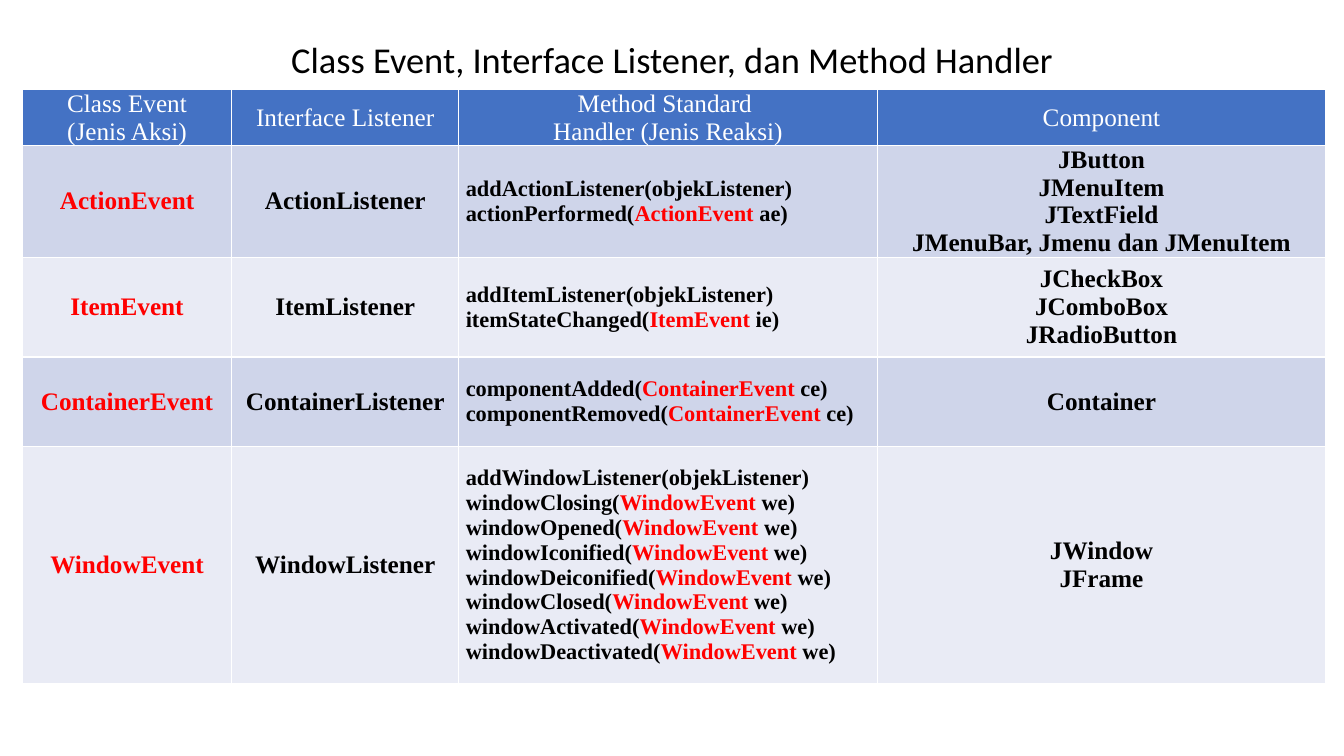
from pptx import Presentation
from pptx import util as u
from pptx.dml import color
from pptx.enum import text

HUES = {"head": "4472C4", "odd": "CFD5EA", "even": "E9EBF5",
        "white": "FFFFFF", "black": "000000", "red": "FF0000"}
HEADS = ["Class Event\n(Jenis Aksi)", "Interface Listener",
         "Method Standard \nHandler (Jenis Reaksi)", "Component"]
ROWS = [
    ("Action", "addActionListener(objekListener)\nactionPerformed(ActionEvent ae)",
     "JButton\nJMenuItem\nJTextField\nJMenuBar, Jmenu dan JMenuItem"),
    ("Item", "addItemListener(objekListener)\nitemStateChanged(ItemEvent ie)",
     "JCheckBox\nJComboBox\nJRadioButton"),
    ("Container", "componentAdded(ContainerEvent ce)\ncomponentRemoved(ContainerEvent ce)",
     "Container"),
    ("Window", "\n".join(["addWindowListener(objekListener)"] + [
        f"window{act}(WindowEvent we)" for act in (
            "Closing", "Opened", "Iconified", "Deiconified",
            "Closed", "Activated", "Deactivated")]),
     "JWindow\nJFrame"),
]
WIDTHS = [2.08, 2.25, 4.15, 4.45]
HEIGHTS = [0.45, 0.89, 0.99, 0.89, 2.35]


def write(frame, words, size=18, font="Times New Roman", hue="black",
          bold=True, align="CENTER", mark=None, space=None):
    for i, line in enumerate(words.split("\n")):
        para = frame.add_paragraph() if i else frame.paragraphs[0]
        para.alignment = text.PP_ALIGN[align]
        para.line_spacing = space
        head, found, tail = line.partition(mark) if mark else (line, "", "")
        for part, tint in ((head, hue), (found, "red"), (tail, hue)):
            if part:
                run = para.add_run()
                run.text = part
                run.font.size = u.Pt(size)
                run.font.name = font
                run.font.bold = bold
                run.font.color.rgb = color.RGBColor.from_string(HUES[tint])


deck = Presentation()
deck.slide_width, deck.slide_height = u.Inches(13.33), u.Inches(7.5)
slide = deck.slides.add_slide(deck.slide_layouts[5])

title = slide.shapes.title
title.left, title.top = u.Inches(1.92), u.Inches(0.3)
title.width, title.height = u.Inches(9.5), u.Inches(0.62)
title.text_frame.vertical_anchor = text.MSO_ANCHOR.MIDDLE
write(title.text_frame, "Class Event, Interface Listener, dan Method Handler",
      size=26, font="Calibri", bold=False, space=0.9)

grid = slide.shapes.add_table(
    len(HEIGHTS), len(WIDTHS), u.Inches(0.22), u.Inches(0.89),
    u.Inches(sum(WIDTHS)), u.Inches(sum(HEIGHTS))).table
for col, wide in zip(grid.columns, WIDTHS):
    col.width = u.Inches(wide)
for row, high in zip(grid.rows, HEIGHTS):
    row.height = u.Inches(high)

for c, head in enumerate(HEADS):
    write(grid.cell(0, c).text_frame, head, hue="white", bold=False)
for r, (kind, calls, parts) in enumerate(ROWS, 1):
    event = kind + "Event"
    write(grid.cell(r, 0).text_frame, event, hue="red")
    write(grid.cell(r, 1).text_frame, kind + "Listener")
    write(grid.cell(r, 2).text_frame, calls, size=16, align="LEFT", mark=event)
    write(grid.cell(r, 3).text_frame, parts)

for r, row in enumerate(grid.rows):
    fill = "head" if r == 0 else "odd" if r % 2 else "even"
    for cell in row.cells:
        cell.fill.solid()
        cell.fill.fore_color.rgb = color.RGBColor.from_string(HUES[fill])
        cell.vertical_anchor = text.MSO_ANCHOR.MIDDLE
        cell.margin_left = cell.margin_right = u.Inches(0.07)
        cell.margin_top = cell.margin_bottom = 0

deck.save("out.pptx")
